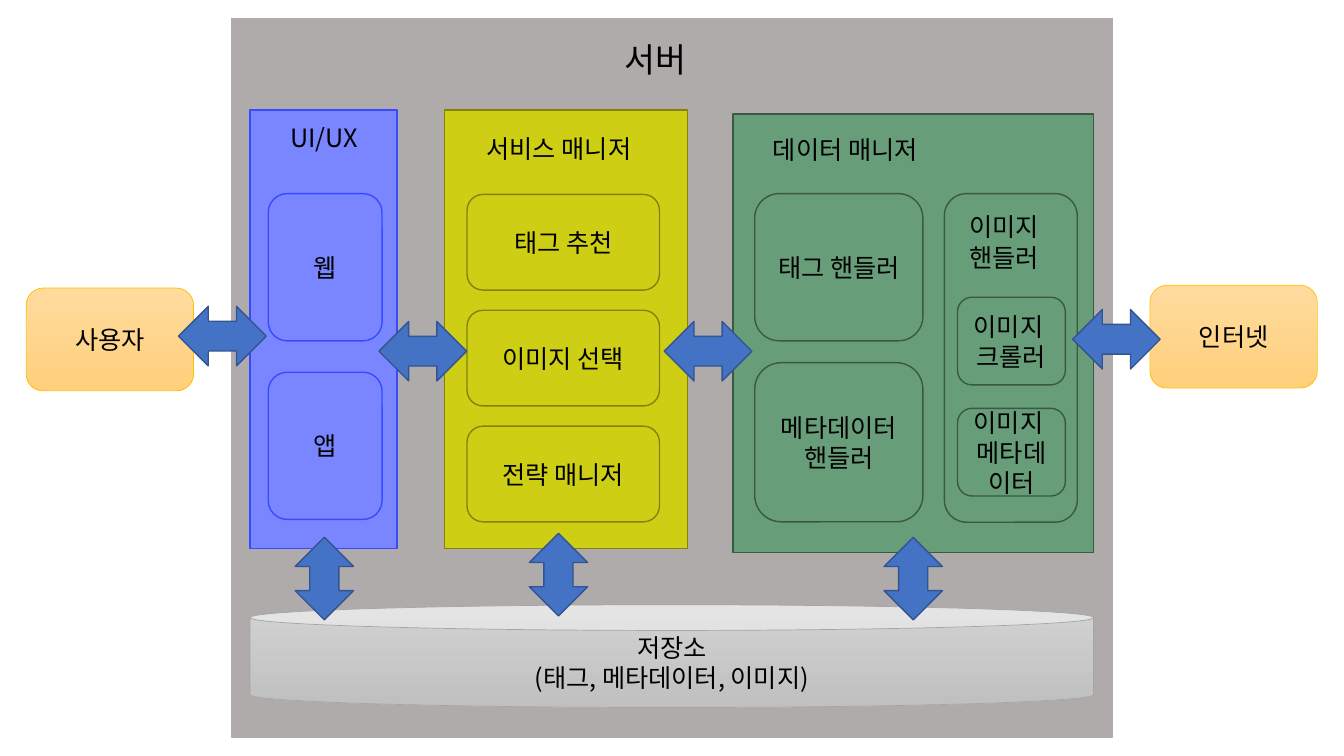
from collections import namedtuple
from dataclasses import dataclass

from lxml import etree
from pptx import Presentation
from pptx import util as u
from pptx.dml.color import RGBColor
from pptx.enum import shapes, text
from pptx.oxml import ns

Box = namedtuple("Box", "left top width height")
Paint = namedtuple("Paint", "fills line weight")
KIND = shapes.MSO_SHAPE


@dataclass(frozen=True)
class Theme:
    font: str = "Noto Sans CJK KR"
    ink: str = "000000"
    heading: int = 24
    body: int = 18
    server: Paint = Paint(["AFABAB"], "AFABAB", 1)
    ui: Paint = Paint(["7986FF"], "374AFF", 1)
    service: Paint = Paint(["CECE14"], "84810D", 1)
    data: Paint = Paint(["679D79"], "395944", 1)
    storage: Paint = Paint(["D2D2D2", "C0C0C0"], "A5A5A5", 0.5)
    outside: Paint = Paint(["FFDB9E", "FFD07C"], "FFC000", 0.5)
    arrow: Paint = Paint(["4472C4"], "325491", 1)


THEME = Theme()


def inside(box, left, top, width, height):
    """Box given by offsets from the corner of its parent."""
    return Box(box.left + left, box.top + top, width, height)


def apply_format(target, values):
    for name, value in values.items():
        setattr(target, name, value)


def write(frame, wording, size, align, frame_format):
    apply_format(frame, frame_format)
    frame.text = wording
    for paragraph in frame.paragraphs:
        paragraph.alignment = align
        for run in paragraph.runs:
            apply_format(run.font, {"name": THEME.font, "size": u.Pt(size)})
            run.font.color.rgb = RGBColor.from_string(THEME.ink)
            east_asian = etree.SubElement(run.font._element, ns.qn("a:ea"))
            east_asian.set("typeface", THEME.font)


def block(slide, kind, box, paint, wording=""):
    part = slide.shapes.add_shape(kind, *map(u.Cm, box))
    part.shadow.inherit = False
    if len(paint.fills) == 1:
        part.fill.solid()
        part.fill.fore_color.rgb = RGBColor.from_string(paint.fills[0])
    else:
        part.fill.gradient()
        part.fill.gradient_angle = 270
        for stop, colour in zip(part.fill.gradient_stops, paint.fills):
            stop.color.rgb = RGBColor.from_string(colour)
    part.line.color.rgb = RGBColor.from_string(paint.line)
    part.line.width = u.Pt(paint.weight)
    if wording:
        write(part.text_frame, wording, THEME.body, text.PP_ALIGN.CENTER,
              {"word_wrap": True, "vertical_anchor": text.MSO_ANCHOR.MIDDLE})


def title(slide, box, wording, size=THEME.body):
    label = slide.shapes.add_textbox(*map(u.Cm, box))
    write(label.text_frame, wording, size, text.PP_ALIGN.LEFT,
          {"word_wrap": False, "auto_size": text.MSO_AUTO_SIZE.SHAPE_TO_FIT_TEXT})


def card_stack(slide, first, pitch, paint, names):
    for row, name in enumerate(names):
        card = first._replace(top=first.top + row * pitch)
        block(slide, KIND.ROUNDED_RECTANGLE, card, paint, name)


# Server background, heading and storage
def server(slide, box):
    block(slide, KIND.RECTANGLE, box, THEME.server)
    title(slide, inside(box, 9.65, 0.4, 2.24, 1.27), "서버", THEME.heading)
    block(slide, KIND.CAN, inside(box, 0.46, 14.78, 21.26, 2.59), THEME.storage,
          "저장소\n(태그, 메타데이터, 이미지)")


# UI/UX column
def ui_panel(slide, box):
    block(slide, KIND.RECTANGLE, box, THEME.ui)
    title(slide, inside(box, 0.76, 0.2, 2.24, 1.02), "UI/UX")
    card_stack(slide, inside(box, 0.46, 2.11, 2.87, 3.71), 4.5, THEME.ui, ["웹", "앱"])


# Service manager column
def service_panel(slide, box):
    block(slide, KIND.RECTANGLE, box, THEME.service)
    title(slide, inside(box, 0.81, 0.46, 4.6, 1.02), "서비스 매니저")
    card_stack(slide, inside(box, 0.57, 2.13, 4.85, 2.41), 2.92, THEME.service,
               ["태그 추천", "이미지 선택", "전략 매니저"])


# Data manager column
def data_panel(slide, box):
    block(slide, KIND.RECTANGLE, box, THEME.data)
    title(slide, inside(box, 0.76, 0.38, 4.6, 1.02), "데이터 매니저")
    for top, height, name in ((2.01, 3.71, "태그 핸들러"),
                              (6.27, 4.01, "메타데이터\v핸들러")):
        block(slide, KIND.ROUNDED_RECTANGLE, inside(box, 0.55, top, 4.24, height),
              THEME.data, name)
    image_handler(slide, inside(box, 5.33, 2.01, 3.35, 8.28))


def image_handler(slide, box):
    block(slide, KIND.ROUNDED_RECTANGLE, box, THEME.data)
    title(slide, inside(box, 0.38, 0.33, 2.44, 1.8), "이미지\v핸들러")
    card_stack(slide, inside(box, 0.33, 2.61, 2.72, 2.21), 2.8, THEME.data,
               ["이미지 \n크롤러", "이미지 \n메타데이터"])


# Double arrows between the parts
def arrows(slide):
    across = (KIND.LEFT_RIGHT_ARROW, 2.21, 1.5,
              [(4.5, 7.72), (9.55, 8.1), (16.74, 8.1), (27.03, 7.8)])
    upright = (KIND.UP_DOWN_ARROW, 1.47, 2.08,
               [(7.44, 13.54), (13.34, 13.44), (22.28, 13.54)])
    for kind, width, height, corners in (across, upright):
        for left, top in corners:
            block(slide, kind, Box(left, top, width, height), THEME.arrow)


def main():
    deck = Presentation()
    apply_format(deck, {"slide_width": u.Cm(33.87), "slide_height": u.Cm(19.05)})
    slide = deck.slides.add_slide(deck.slide_layouts[6])
    server(slide, Box(5.84, 0.46, 22.2, 18.11))
    ui_panel(slide, Box(6.3, 2.77, 3.71, 11.05))
    service_panel(slide, Box(11.2, 2.77, 6.12, 11.05))
    data_panel(slide, Box(18.47, 2.87, 9.09, 11.05))
    for left, top, name in ((0.66, 7.26, "사용자"), (28.98, 7.19, "인터넷")):
        block(slide, KIND.ROUNDED_RECTANGLE, Box(left, top, 4.22, 2.59),
              THEME.outside, name)
    arrows(slide)
    deck.save("out.pptx")


if __name__ == "__main__":
    main()
